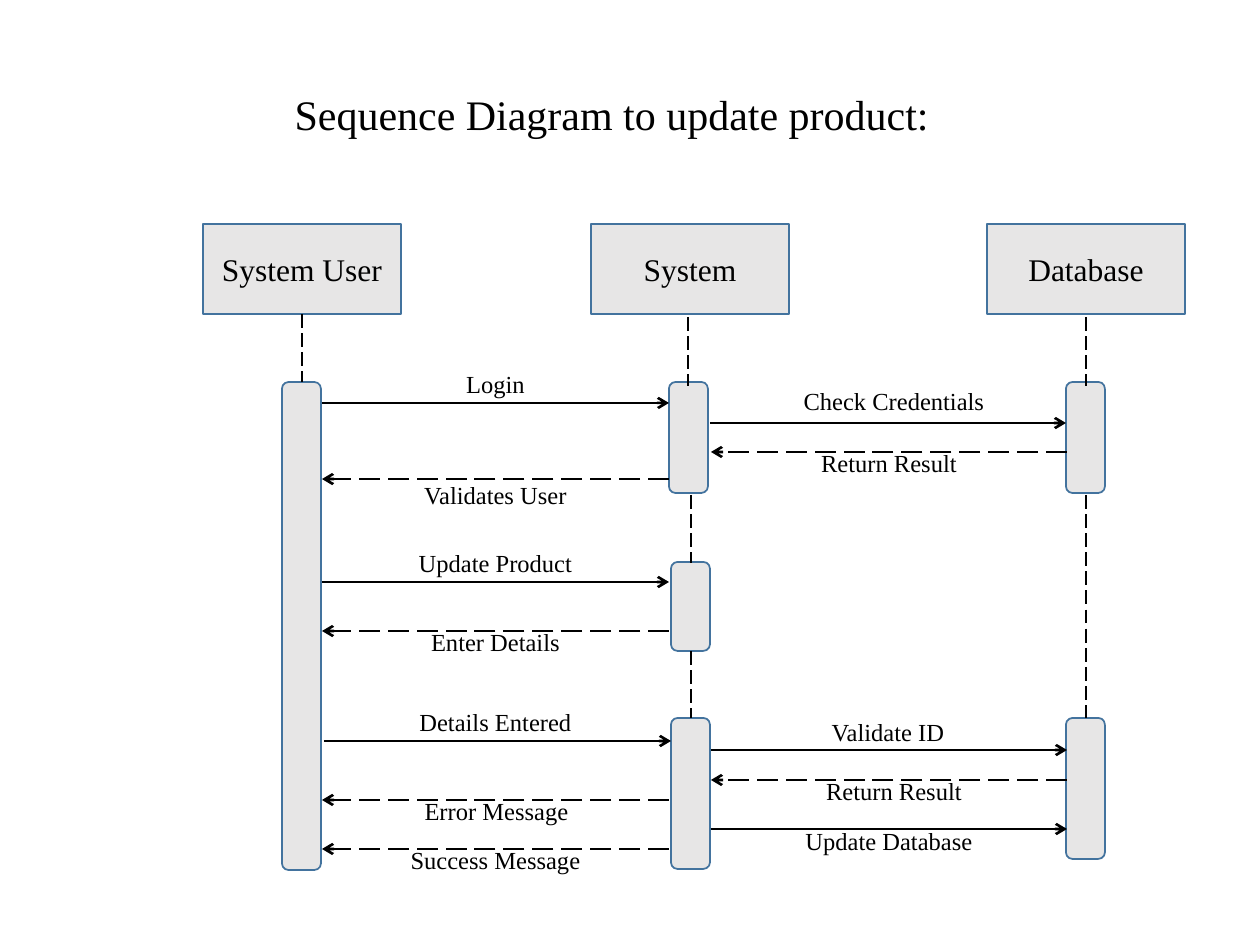
from dataclasses import dataclass
from lxml.etree import SubElement
from pptx import Presentation
from pptx.dml.color import RGBColor as RGB
from pptx.enum.dml import MSO_LINE as Dash
from pptx.enum.shapes import MSO_CONNECTOR as Conn, MSO_SHAPE as Kind
from pptx.enum.text import MSO_ANCHOR as Anchor, PP_ALIGN as Align
from pptx.oxml.ns import qn
from pptx.util import Pt


@dataclass(frozen=True)
class Theme:
    font: str = "Times New Roman"
    ink: RGB = RGB(0, 0, 0)
    fill: RGB = RGB(0xE7, 0xE6, 0xE6)
    edge: RGB = RGB(0x43, 0x73, 0x9E)
    title: int = 24
    head: int = 18
    label: int = 14
    thin: float = 1
    thick: float = 1.5


THEME = Theme()
SCALE = 914400 / 126


def px(*vals):
    return [round(v * SCALE) for v in vals]


def write(shape, text, size, align=Align.CENTER, anchor=Anchor.TOP):
    frame = shape.text_frame
    frame.word_wrap = True
    frame.vertical_anchor = anchor
    para = frame.paragraphs[0]
    para.alignment = align
    run = para.add_run()
    run.text = text
    run.font.name = THEME.font
    run.font.size = Pt(size)
    run.font.color.rgb = THEME.ink


def block(slide, kind, x, y, w, h):
    shape = slide.shapes.add_shape(kind, *px(x, y, w, h))
    shape.shadow.inherit = False
    shape.fill.solid()
    shape.fill.fore_color.rgb = THEME.fill
    shape.line.color.rgb = THEME.edge
    shape.line.width = Pt(THEME.thin)
    return shape


def rule(slide, x1, y1, x2, y2, width, dashed=True, arrow=False):
    wire = slide.shapes.add_connector(Conn.STRAIGHT, *px(x1, y1, x2, y2))
    wire.line.color.rgb = THEME.ink
    wire.line.width = Pt(width)
    if dashed:
        wire.line.dash_style = Dash.LONG_DASH
    if arrow:
        SubElement(wire.line._get_or_add_ln(), qn("a:tailEnd"), type="arrow")
    SubElement(wire._element.spPr, qn("a:effectLst"))


# Title line
def title(slide, x, y, w, h):
    shape = slide.shapes.title
    shape.left, shape.top, shape.width, shape.height = px(x, y, w, h)
    write(shape, "Sequence Diagram to update product:", THEME.title,
          align=Align.LEFT, anchor=Anchor.MIDDLE)


# One lifeline: head, activation bars, dashed stems
def lane(slide, x, y, name, bars, stems):
    head = block(slide, Kind.RECTANGLE, x, y, 198, 90)
    write(head, name, THEME.head, anchor=Anchor.MIDDLE)
    for dx, top, tall in bars:
        block(slide, Kind.ROUNDED_RECTANGLE, x + dx, y + top, 39, tall)
    for dx, top, end in stems:
        rule(slide, x + dx, y + top, x + dx, y + end, THEME.thin)


# Messages between two lifelines; replies run leftward and dashed
def talk(slide, x, y, w, notes):
    for text, reply, dy, drop, shift, nudge in notes:
        ends = (x + w, x) if reply else (x, x + w)
        a, b = (end + shift for end in ends)
        rule(slide, a, y + dy, b, y + dy, THEME.thick,
             dashed=reply, arrow=True)
        wide = 244
        left = x + w / 2 + nudge - wide / 2
        box = slide.shapes.add_textbox(*px(left, y + dy + drop, wide, 43))
        write(box, text, THEME.label)


# name, x, bars (dx, top, height), stems (dx, top, end)
LANES = [
    ("System User", 0, [(79, 158, 488)], [(99, 90, 158)]),
    ("System", 388, [(78, 158, 111), (80, 338, 89), (80, 494, 151)],
     [(97, 93, 162), (100, 271, 339), (100, 427, 494)]),
    ("Database", 784, [(79, 158, 111), (79, 494, 141)],
     [(99, 93, 162), (99, 271, 494)]),
]

# text, reply, y, label drop, line shift, label nudge
USER = [
    ("Login", False, 179, -40, 0, 0),
    ("Validates User", True, 255, -5, 0, 0),
    ("Update Product", False, 358, -40, 0, 0),
    ("Enter Details", True, 407, -10, 0, 0),
    ("Details Entered", False, 517, -40, 2, 0),
    ("Error Message", True, 576, -10, 0, 1),
    ("Success Message", True, 625, -10, 0, 0),
]
STORE = [
    ("Check Credentials", False, 199, -43, 0, 6),
    ("Return Result", True, 228, -10, 1, 1),
    ("Validate ID", False, 526, -39, 1, 0),
    ("Return Result", True, 556, -10, 1, 6),
    ("Update Database", False, 605, -9, 1, 1),
]


# Whole diagram
def chart(slide, x, y):
    for name, dx, bars, stems in LANES:
        lane(slide, x + dx, y, name, bars, stems)
    talk(slide, x + 119, y, 347, USER)
    talk(slide, x + 507, y, 356, STORE)


deck = Presentation()
deck.slide_width, deck.slide_height = px(1260, 945)
page = deck.slides.add_slide(deck.slide_layouts[5])
title(page, 282, 82, 725, 63)
chart(page, 203, 224)
deck.save("out.pptx")
